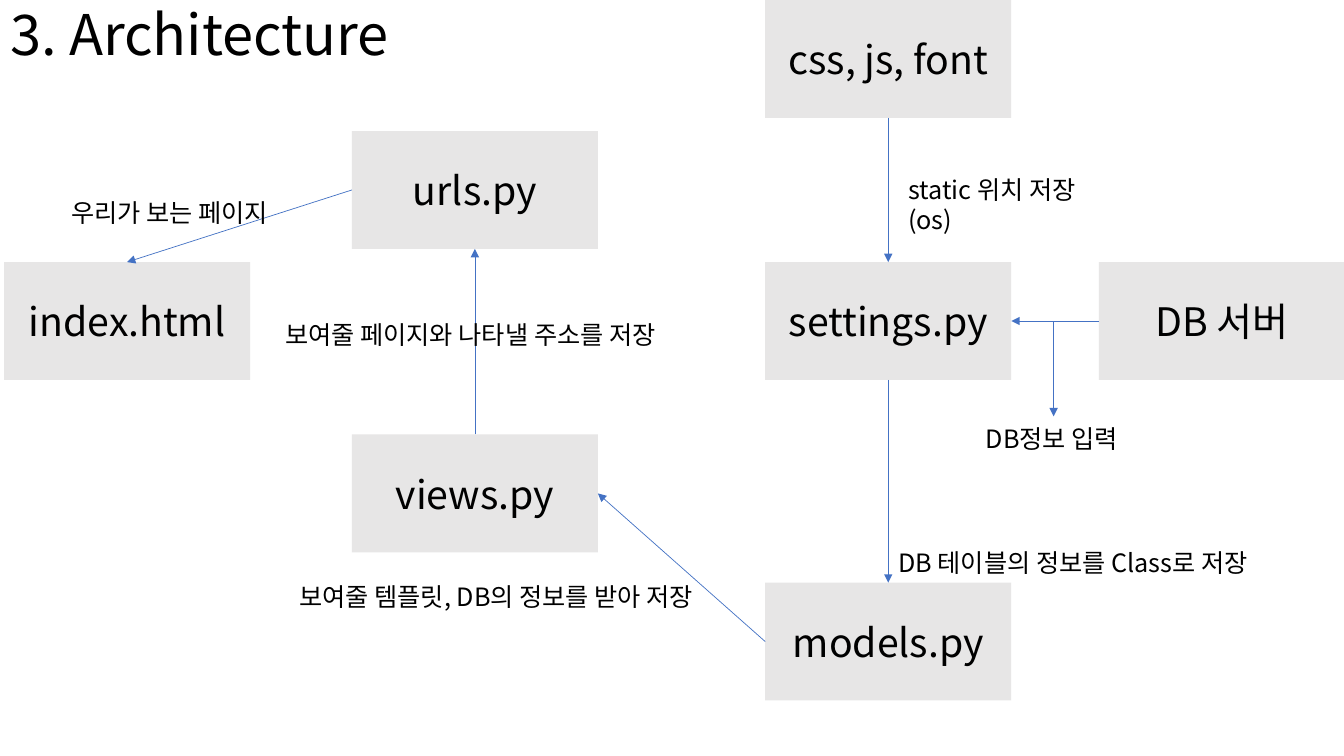
from dataclasses import dataclass

from lxml.etree import SubElement
from pptx import Presentation
from pptx.dml.color import RGBColor
from pptx.enum.shapes import MSO_CONNECTOR, MSO_SHAPE
from pptx.enum.text import MSO_ANCHOR, MSO_AUTO_SIZE, PP_ALIGN
from pptx.oxml.ns import qn
from pptx.util import Inches, Pt


@dataclass(frozen=True)
class Theme:
    font: str = "Noto Sans CJK KR"
    ink: RGBColor = RGBColor(0x00, 0x00, 0x00)
    fill: RGBColor = RGBColor(0xE7, 0xE6, 0xE6)
    line: RGBColor = RGBColor(0x44, 0x72, 0xC4)
    title: Pt = Pt(40)
    node: Pt = Pt(28)
    label: Pt = Pt(18)
    stroke: Pt = Pt(0.5)


TOP, LEFT, BOTTOM, RIGHT = range(4)
NODE_W, NODE_H = 2.44, 1.17
MID, ROW = 7.59, 2.6
NODES = {
    "index.html": (0.04, ROW),
    "settings.py": (MID, ROW),
    "DB 서버": (10.9, ROW),
    "models.py": (MID, 5.78),
    "views.py": (3.49, 4.31),
    "urls.py": (3.49, 1.3),
    "css, js, font": (MID, 0),
}
LINKS = [
    ("css, js, font", BOTTOM, "settings.py", TOP),
    ("DB 서버", LEFT, "settings.py", RIGHT),
    ("settings.py", BOTTOM, "models.py", TOP),
    ("models.py", LEFT, "views.py", RIGHT),
    ("views.py", TOP, "urls.py", BOTTOM),
    ("urls.py", LEFT, "index.html", TOP),
]
LABELS = [
    ("static 위치 저장\v(os)", 8.91, 1.68, 2.4),
    ("DB정보 입력", 9.68, 4.15, 1.63),
    ("DB 테이블의 정보를 Class로 저장", 8.81, 5.38, 3.98),
    ("보여줄 템플릿, DB의 정보를 받아 저장", 2.87, 5.72, 4.57),
    ("보여줄 페이지와 나타낼 주소를 저장", 2.73, 3.12, 4.35),
    ("우리가 보는 페이지", 0.61, 1.91, 2.4),
]


class Sketch:
    """Draws styled diagram parts on one slide."""

    def __init__(self, slide, theme):
        self.shapes = slide.shapes
        self.theme = theme

    def letter(self, frame, text, size, align=PP_ALIGN.LEFT):
        frame.text = text
        para = frame.paragraphs[0]
        para.alignment = align
        font = para.font
        font.size = size
        font.name = self.theme.font
        font.color.rgb = self.theme.ink
        props = para._p.get_or_add_pPr().get_or_add_defRPr()
        SubElement(props, qn("a:ea"), typeface=self.theme.font)
        return para

    def title(self, text, x, y, w, h):
        shape = self.shapes.title
        shape.left, shape.top = Inches(x), Inches(y)
        shape.width, shape.height = Inches(w), Inches(h)
        frame = shape.text_frame
        frame.auto_size = MSO_AUTO_SIZE.NONE
        frame.vertical_anchor = MSO_ANCHOR.MIDDLE
        self.letter(frame, text, self.theme.title).line_spacing = 0.9

    def node(self, text, x, y):
        shape = self.shapes.add_shape(
            MSO_SHAPE.RECTANGLE, Inches(x), Inches(y), Inches(NODE_W), Inches(NODE_H))
        shape.shadow.inherit = False
        shape.fill.solid()
        shape.fill.fore_color.rgb = self.theme.fill
        shape.line.fill.background()
        shape.text_frame.vertical_anchor = MSO_ANCHOR.MIDDLE
        self.letter(shape.text_frame, text, self.theme.node, PP_ALIGN.CENTER)
        return shape

    def arrow(self, x1=0, y1=0, x2=0, y2=0):
        wire = self.shapes.add_connector(
            MSO_CONNECTOR.STRAIGHT, Inches(x1), Inches(y1), Inches(x2), Inches(y2))
        wire.line.color.rgb = self.theme.line
        wire.line.width = self.theme.stroke
        SubElement(wire.line._get_or_add_ln(), qn("a:tailEnd"), type="triangle")
        SubElement(wire._element.spPr, qn("a:effectLst"))
        return wire

    def link(self, start, leave, end, enter):
        wire = self.arrow()
        wire.begin_connect(start, leave)
        wire.end_connect(end, enter)

    def label(self, text, x, y, w):
        box = self.shapes.add_textbox(Inches(x), Inches(y), Inches(w), Inches(0.4))
        box.text_frame.word_wrap = False
        box.text_frame.auto_size = MSO_AUTO_SIZE.SHAPE_TO_FIT_TEXT
        self.letter(box.text_frame, text, self.theme.label)


def main():
    deck = Presentation()
    deck.slide_width, deck.slide_height = Inches(13.33), Inches(7.5)
    sketch = Sketch(deck.slides.add_slide(deck.slide_layouts[5]), Theme())
    sketch.title("3. Architecture", 0, 0, 4.84, 0.74)
    nodes = {name: sketch.node(name, *spot) for name, spot in NODES.items()}
    for start, leave, end, enter in LINKS:
        sketch.link(nodes[start], leave, nodes[end], enter)
    sketch.arrow(10.45, ROW + NODE_H / 2, 10.45, 4.13)
    for label in LABELS:
        sketch.label(*label)
    deck.save("out.pptx")


if __name__ == "__main__":
    main()
